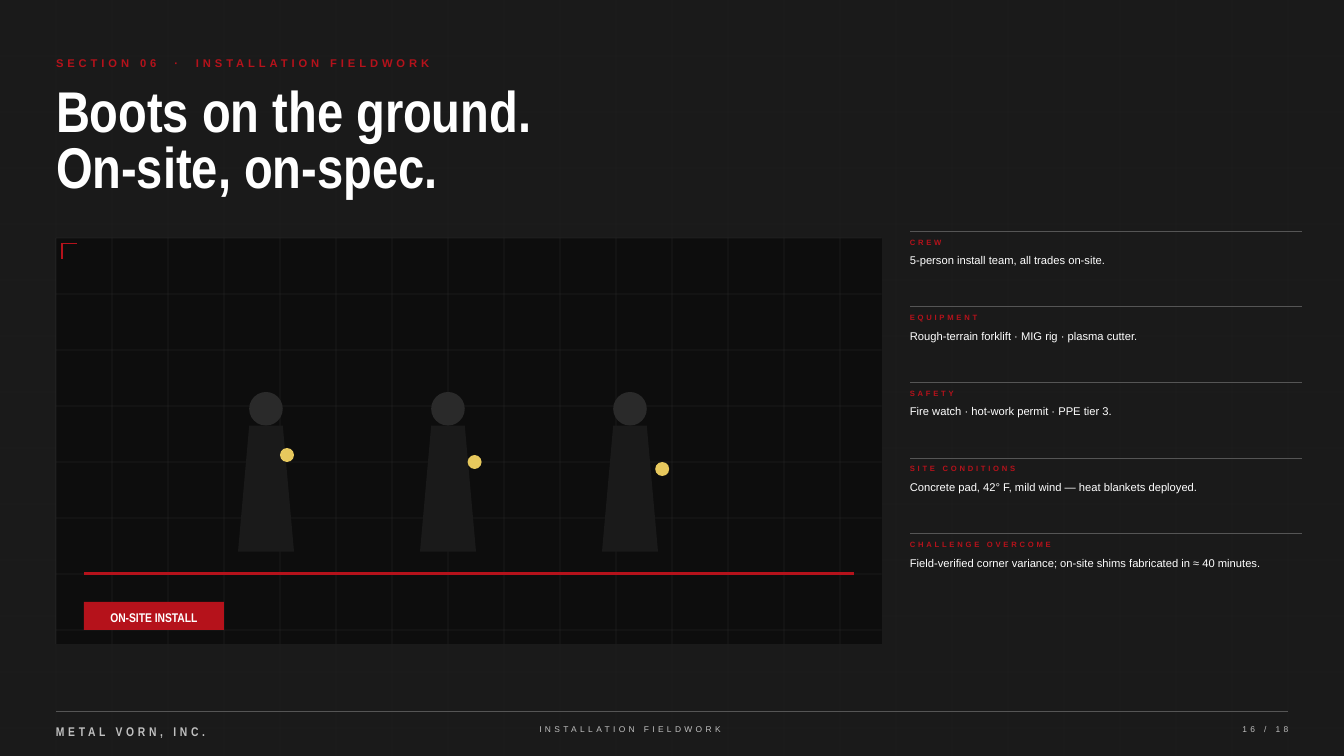
import pptx
import pptx.util
import pptx.dml.color
import pptx.enum.shapes
import pptx.enum.text
import pptx.oxml.ns
import pptx.oxml.xmlchemy

Inches = pptx.util.Inches
Pt = pptx.util.Pt
RGBColor = pptx.dml.color.RGBColor
Shape = pptx.enum.shapes.MSO_SHAPE
Align = pptx.enum.text.PP_ALIGN
make_node = pptx.oxml.xmlchemy.OxmlElement

DARK = RGBColor(0x1A, 0x1A, 0x1A)
BLACK = RGBColor(0x0D, 0x0D, 0x0D)
HEAD = RGBColor(0x2A, 0x2A, 0x2A)
GRAY = RGBColor(0x55, 0x55, 0x55)
SILVER = RGBColor(0xC0, 0xC0, 0xC0)
WHITE = RGBColor(0xFF, 0xFF, 0xFF)
RED = RGBColor(0xB5, 0x12, 0x1B)
SPARK = RGBColor(0xFF, 0xDD, 0x66)

WIDE, HIGH = 20, 11.25
CELL = 10 / 12  # grid pitch in inches
LEFT = CELL
SIDE = 13.54

EYEBROW = {"size": Pt(12), "name": "Arial", "bold": True}
TITLE = {"size": Pt(61.5), "name": "Arial Narrow", "bold": True}
STRONG = {"size": Pt(13.5), "name": "Arial Narrow", "bold": True}
LABEL = {"size": Pt(8.25), "name": "Arial", "bold": True}
BODY = {"size": Pt(12), "name": "Arial", "bold": False}
SMALL = {"size": Pt(9), "name": "Arial", "bold": False}

DETAILS = [
    ("CREW", "5-person install team, all trades on-site."),
    ("EQUIPMENT", "Rough-terrain forklift · MIG rig · plasma cutter."),
    ("SAFETY", "Fire watch · hot-work permit · PPE tier 3."),
    ("SITE CONDITIONS",
     "Concrete pad, 42° F, mild wind — heat blankets deployed."),
    ("CHALLENGE OVERCOME",
     "Field-verified corner variance; on-site shims fabricated in ≈ 40 minutes."),
]


def fade(item, alpha):
    """Set the opacity, in percent, of the item's only explicit colour."""
    color = next(item.element.spPr.iter(pptx.oxml.ns.qn("a:srgbClr")))
    node = make_node("a:alpha")
    node.set("val", str(alpha * 1000))
    color.append(node)


def add_line(slide, x1, y1, x2, y2, color=GRAY, width=0.75, alpha=100):
    line = slide.shapes.add_connector(
        pptx.enum.shapes.MSO_CONNECTOR.STRAIGHT,
        Inches(x1), Inches(y1), Inches(x2), Inches(y2))
    line.line.color.rgb = color
    line.line.width = Pt(width)
    line.element.spPr.append(make_node("a:effectLst"))
    if alpha < 100:
        fade(line, alpha)


def add_solid(slide, kind, x, y, w, h, color):
    """Add a borderless shape, placed and sized in grid cells."""
    solid = slide.shapes.add_shape(
        kind, *[Inches(n * CELL) for n in (x, y, w, h)])
    solid.shadow.inherit = False
    solid.fill.solid()
    solid.fill.fore_color.rgb = color
    solid.line.fill.background()
    return solid


def fill_text(frame, lines, style, color, track=0, align=Align.LEFT,
              lead=1.4):
    """Write lines with tracking in points and leading as a size multiple."""
    setup = {"margin_left": 0, "margin_top": 0, "margin_right": 0,
             "margin_bottom": 0, "word_wrap": True,
             "vertical_anchor": pptx.enum.text.MSO_ANCHOR.TOP,
             "auto_size": pptx.enum.text.MSO_AUTO_SIZE.SHAPE_TO_FIT_TEXT}
    for key, value in setup.items():
        setattr(frame, key, value)
    for i, line in enumerate(lines):
        para = frame.add_paragraph() if i else frame.paragraphs[0]
        para.alignment = align
        para.line_spacing = Pt(style["size"].pt * lead)
        para.space_before = Pt(0)
        run = para.add_run()
        run.text = line
        for key, value in style.items():
            setattr(run.font, key, value)
        run.font.color.rgb = color
        if track:
            run._r.get_or_add_rPr().set("spc", str(round(track * 100)))


def add_text(slide, x, y, w, h, text, style, color, **more):
    box = slide.shapes.add_textbox(
        Inches(x), Inches(y), Inches(w), Inches(h))
    fill_text(box.text_frame, [text], style, color, **more)


def add_title(slide):
    title = slide.shapes.title
    place = {"left": LEFT, "top": 1.3, "width": 15.62, "height": 1.72}
    for key, value in place.items():
        setattr(title, key, Inches(value))
    fill_text(title.text_frame, ["Boots on the ground.", "On-site, on-spec."],
              TITLE, WHITE, lead=0.98)
    title.element.getparent().append(title.element)  # above the page grid


def add_grid(slide, cols, rows, left, top, right, bottom, alpha):
    """Draw faint lines at the given columns and rows, counted in cells."""
    for x in cols:
        add_line(slide, x * CELL, top, x * CELL, bottom, alpha=alpha)
    for y in rows:
        add_line(slide, left, y * CELL, right, y * CELL, alpha=alpha)


def add_worker(slide, i):
    x = 4.25 + 3.25 * i
    add_solid(slide, Shape.OVAL, x + 0.2, 7, 0.6, 0.6, HEAD)
    torso = add_solid(slide, Shape.TRAPEZOID, x, 7.6, 1, 2.25, DARK)
    torso.adjustments[0] = 0.2
    spark = add_solid(slide, Shape.OVAL, 5 + 3.35 * i, 8 + i / 8,
                      0.25, 0.25, SPARK)
    fade(spark, 90)


def add_scene(slide):
    add_solid(slide, Shape.RECTANGLE, 1, 4.25, 14.75, 7.25, BLACK)
    add_grid(slide, range(1, 16), [4.25 + j for j in range(8)],
             LEFT, 3.54, 13.12, 9.58, 25)
    for i in range(3):
        add_worker(slide, i)
    add_line(slide, 1.25, 8.54, 12.71, 8.54, RED, 3)
    for x, y in ((1.15, 3.62), (0.92, 3.85)):
        add_line(slide, 0.92, 3.62, x, y, RED, 1.5)
    add_solid(slide, Shape.RECTANGLE, 1.5, 10.75, 2.5, 0.5, RED)
    add_text(slide, 1.25, 9.04, 2.08, 0.24, "ON-SITE INSTALL", STRONG, WHITE,
             align=Align.CENTER)


def add_details(slide):
    for i, (label, text) in enumerate(DETAILS):
        y = 3.44 + 1.125 * i
        add_line(slide, SIDE, y, 19.38, y)
        add_text(slide, SIDE, y + 0.07, 5.83, 0.16, label, LABEL, RED,
                 track=2.9)
        add_text(slide, SIDE, y + 0.3, 5.83, 0.23, text, BODY, WHITE)


def add_footer(slide):
    add_line(slide, LEFT, 10.58, WIDE - LEFT, 10.58)
    add_text(slide, LEFT, 10.73, 4.17, 0.24, "METAL VORN, INC.", STRONG,
             SILVER, track=4)
    add_text(slide, 5.21, 10.75, 8.33, 0.16, "INSTALLATION FIELDWORK", SMALL,
             SILVER, track=3.6, align=Align.CENTER)
    add_text(slide, 17.29, 10.75, 1.88, 0.16, "16 / 18", SMALL, SILVER,
             track=3.6, align=Align.RIGHT)


def main():
    deck = pptx.Presentation()
    deck.slide_width, deck.slide_height = Inches(WIDE), Inches(HIGH)
    slide = deck.slides.add_slide(deck.slide_layouts[5])
    slide.background.fill.solid()
    slide.background.fill.fore_color.rgb = DARK
    add_grid(slide, range(1, 24), range(1, 14), 0, 0, WIDE, HIGH, 8)
    add_text(slide, LEFT, 0.8, 9.38, 0.23,
             "SECTION 06  ·  INSTALLATION FIELDWORK", EYEBROW, RED, track=4.2)
    add_title(slide)
    add_scene(slide)
    add_details(slide)
    add_footer(slide)
    deck.save("out.pptx")


if __name__ == "__main__":
    main()
